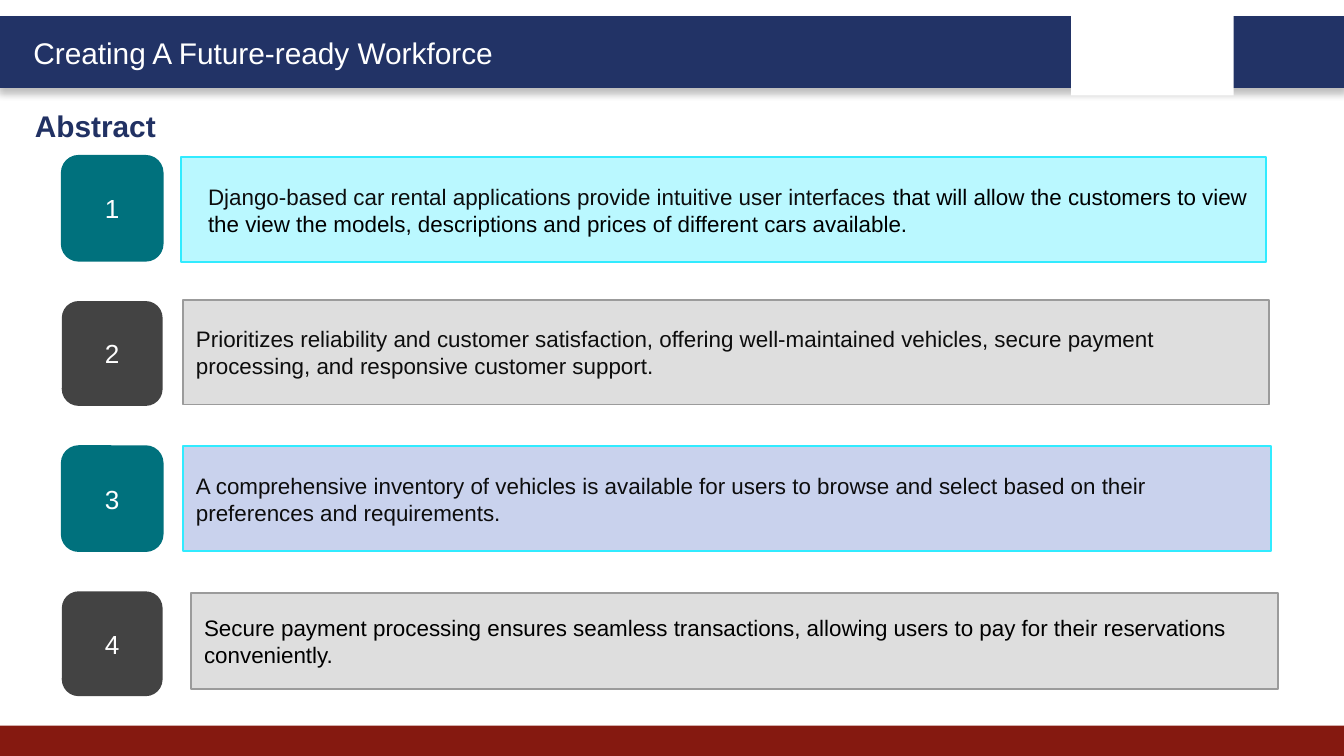
from pptx import Presentation
from pptx.dml.color import RGBColor
from pptx.enum.shapes import MSO_SHAPE
from pptx.enum.text import MSO_ANCHOR, PP_ALIGN
from pptx.oxml import parse_xml
from pptx.oxml.ns import nsdecls
from pptx.util import Inches, Pt

NAVY = RGBColor(0x22, 0x33, 0x66)
HEADING_NAVY = RGBColor(0x21, 0x31, 0x63)
RED = RGBColor(0x85, 0x19, 0x10)
WHITE = RGBColor(0xFF, 0xFF, 0xFF)
BLACK = RGBColor(0x00, 0x00, 0x00)
NEAR_BLACK = RGBColor(0x0D, 0x0D, 0x0D)
TEAL = RGBColor(0x00, 0x71, 0x7D)
CHARCOAL = RGBColor(0x43, 0x43, 0x43)
CYAN = RGBColor(0x31, 0xEB, 0xFF)
PALE_CYAN = RGBColor(0xBA, 0xF8, 0xFF)
PALE_BLUE = RGBColor(0xC9, 0xD2, 0xED)
PALE_GREY = RGBColor(0xDE, 0xDE, 0xDE)
GREY = RGBColor(0x9B, 0x9B, 0x9B)

FONT = "Arial"
SLIDE_WIDTH = 10
SLIDE_HEIGHT = SLIDE_WIDTH * 9 / 16
FOOTER_TOP = 5.4
ROW_TOP, ROW_PITCH = 1.16, 1.08
BADGE_LEFT, BADGE_WIDTH, BADGE_HEIGHT = 0.46, 0.75, 0.78

# Card box relative to its row, card fill and line, badge fill and line,
# left indent, and text runs with colours
ROWS = [
    ((0.89, 0.01, 8.07, 0.78), PALE_CYAN, CYAN, TEAL, TEAL, 0.1, [
        ("Django-based car rental applications provide intuitive user interfaces", NEAR_BLACK),
        (" that will allow the customers to view the view the models, descriptions "
         "and prices of different cars available.", BLACK)]),
    ((0.9, -0.01, 8.08, 0.78), PALE_GREY, GREY, CHARCOAL, None, 0, [
        ("Prioritizes reliability and customer satisfaction, offering well-maintained "
         "vehicles, secure payment processing, and responsive customer support.", NEAR_BLACK)]),
    ((0.9, 0, 8.1, 0.78), PALE_BLUE, CYAN, TEAL, TEAL, 0, [
        ("A comprehensive inventory of vehicles is available for users to browse and "
         "select based on their preferences and requirements.", NEAR_BLACK)]),
    ((0.96, 0.01, 8.09, 0.72), PALE_GREY, GREY, CHARCOAL, None, 0, [
        ("Secure payment processing ensures seamless transactions, allowing users to "
         "pay for their reservations conveniently.", BLACK)]),
]


def add_box(slide, kind, left, top, width, height, fill, line=None, line_width=1):
    shape = slide.shapes.add_shape(
        kind, Inches(left), Inches(top), Inches(width), Inches(height))
    shape.shadow.inherit = False
    shape.fill.solid()
    shape.fill.fore_color.rgb = fill
    if line is None:
        shape.line.fill.background()
    else:
        shape.line.color.rgb = line
        shape.line.width = Pt(line_width)
    shape.text_frame.word_wrap = True
    shape.text_frame.vertical_anchor = MSO_ANCHOR.MIDDLE
    return shape


def set_font(paragraph, size, color=None, bold=False):
    paragraph.font.name = FONT
    paragraph.font.size = Pt(size)
    paragraph.font.bold = bold
    if color is not None:
        paragraph.font.color.rgb = color


def add_drop_shadow(shape):
    """Give the shape a soft shadow straight below it."""
    effects = shape.element.spPr.find("{*}effectLst")
    effects.append(parse_xml(
        f'<a:outerShdw {nsdecls("a")} blurRad="{Pt(4)}" dist="{Pt(3)}" dir="5400000" '
        'algn="t" rotWithShape="0"><a:srgbClr val="000000"><a:alpha val="25000"/>'
        '</a:srgbClr></a:outerShdw>'))


def add_banner(slide, left, top, width, height):
    banner = add_box(slide, MSO_SHAPE.RECTANGLE, left, top, width, height, NAVY, NAVY, 2)
    add_drop_shadow(banner)
    add_box(slide, MSO_SHAPE.RECTANGLE, left + 7.97, top - 0.06, 1.21, 0.64, WHITE)
    tagline = slide.shapes.add_textbox(
        Inches(left + 0.15), Inches(top + 0.08), Inches(3.78), Inches(0.37))
    tagline.text_frame.word_wrap = True
    paragraph = tagline.text_frame.paragraphs[0]
    paragraph.text = "Creating A Future-ready Workforce"
    set_font(paragraph, 16, WHITE)


def add_footer(slide, left, top, width, height):
    add_box(slide, MSO_SHAPE.RECTANGLE, left, top, width, height, RED)


def place_title(slide, left, top, width, height):
    title = slide.shapes.title
    title.left, title.top = Inches(left), Inches(top)
    title.width, title.height = Inches(width), Inches(height)
    title.text_frame.text = "Abstract"
    title.text_frame.vertical_anchor = MSO_ANCHOR.TOP
    paragraph = title.text_frame.paragraphs[0]
    paragraph.alignment = PP_ALIGN.LEFT
    set_font(paragraph, 16, HEADING_NAVY, bold=True)


def add_row(slide, left, top, number, row):
    """Place a numbered badge with its text card to the right."""
    card_box, card_fill, card_line, badge_fill, badge_line, indent, runs = row
    card_left, card_top, card_width, card_height = card_box
    card = add_box(slide, MSO_SHAPE.RECTANGLE, left + card_left, top + card_top,
                   card_width, card_height, card_fill, card_line)
    paragraph = card.text_frame.paragraphs[0]
    paragraph.alignment = PP_ALIGN.LEFT
    if indent:
        paragraph._p.get_or_add_pPr().set("marL", str(Inches(indent)))
    set_font(paragraph, 12)
    for text, color in runs:
        run = paragraph.add_run()
        run.text = text
        run.font.color.rgb = color

    badge = add_box(slide, MSO_SHAPE.ROUNDED_RECTANGLE, left, top,
                    BADGE_WIDTH, BADGE_HEIGHT, badge_fill, badge_line)
    paragraph = badge.text_frame.paragraphs[0]
    paragraph.text = str(number)
    paragraph.alignment = PP_ALIGN.CENTER
    set_font(paragraph, 14, WHITE)


def main():
    presentation = Presentation()
    presentation.slide_width = Inches(SLIDE_WIDTH)
    presentation.slide_height = Inches(SLIDE_HEIGHT)
    slide = presentation.slides.add_slide(presentation.slide_layouts[5])
    add_banner(slide, 0, 0.13, SLIDE_WIDTH, 0.51)
    add_footer(slide, 0, FOOTER_TOP, SLIDE_WIDTH, SLIDE_HEIGHT - FOOTER_TOP)
    place_title(slide, 0.16, 0.75, 4.84, 0.37)
    for index, row in enumerate(ROWS):
        add_row(slide, BADGE_LEFT, ROW_TOP + index * ROW_PITCH, index + 1, row)
    presentation.save("out.pptx")


if __name__ == "__main__":
    main()
